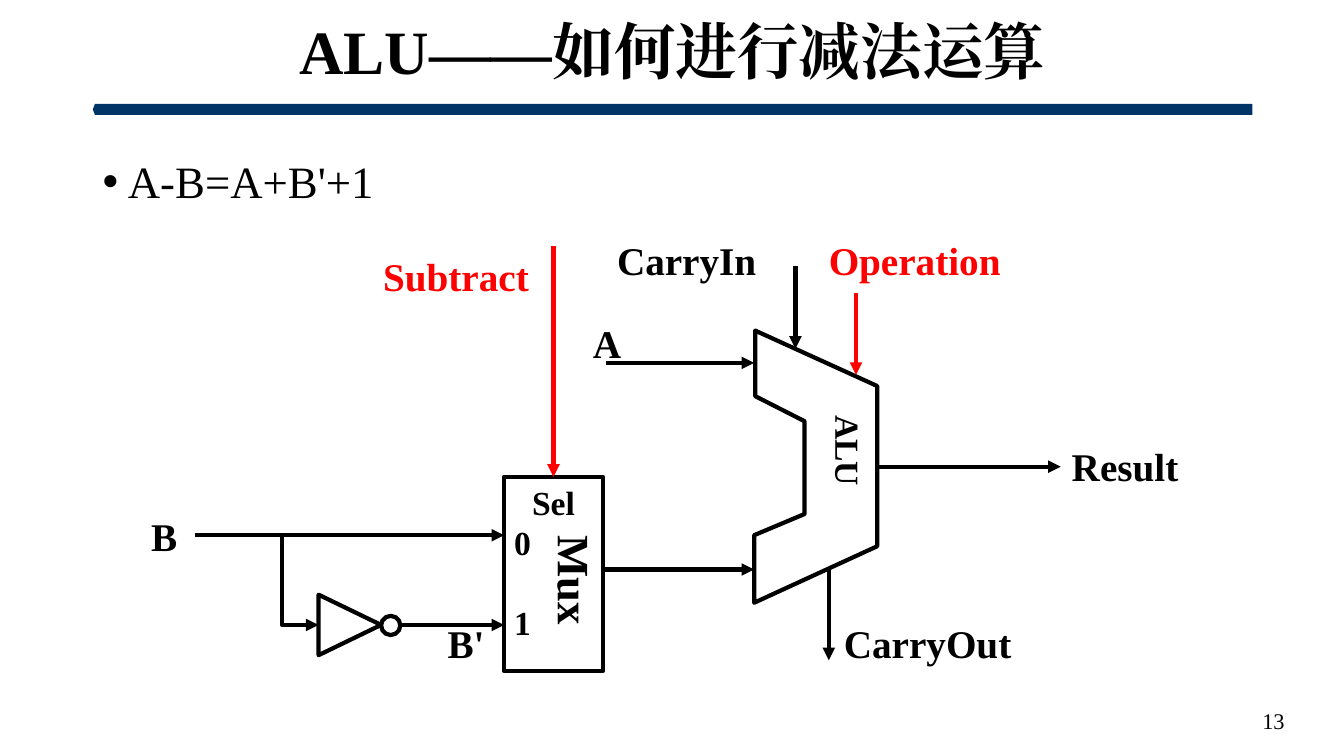
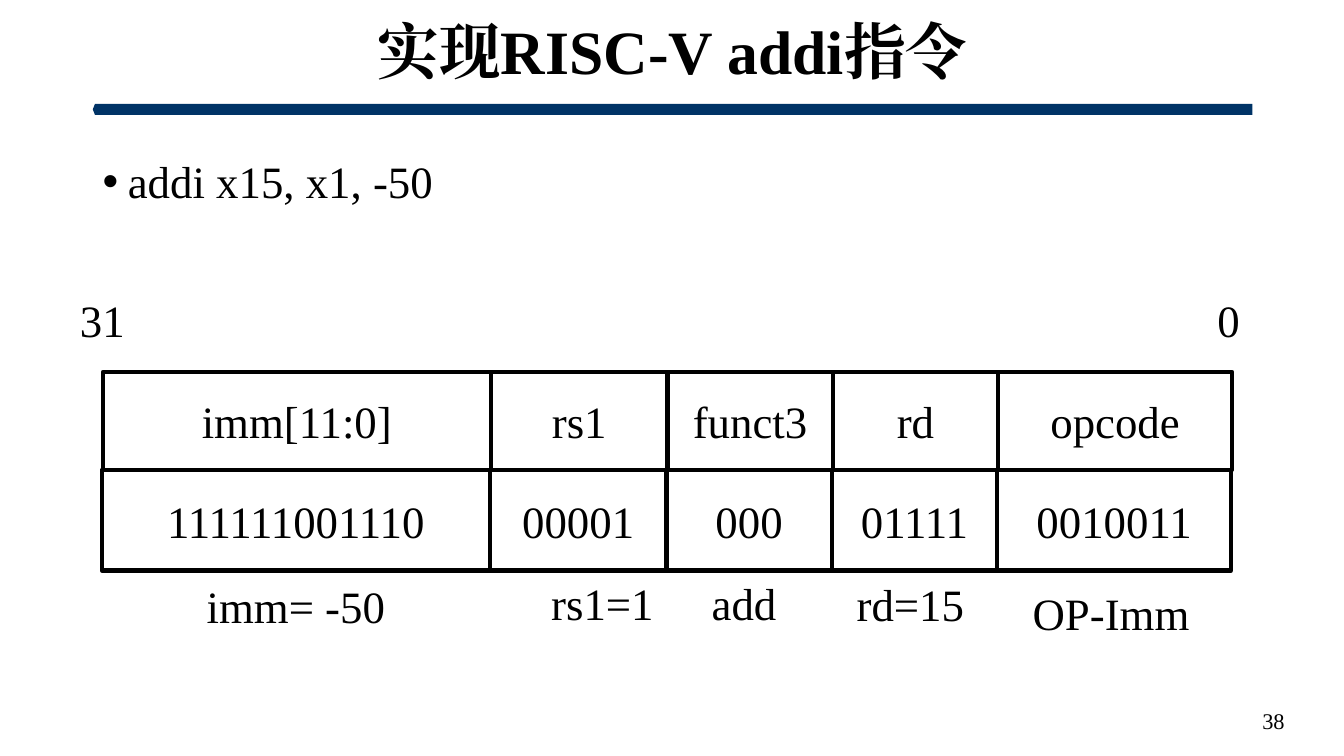
from lxml import etree
from pptx import Presentation
from pptx.dml.color import RGBColor
from pptx.enum import shapes, text
from pptx.oxml import ns
from pptx.util import Inches, Pt

COLORS = {"ink": "000000", "paper": "FFFFFF", "band": "003366", "control": "FF0000"}
FONT = "Times New Roman"
SHAPE = shapes.MSO_SHAPE
LEFT, CENTER, RIGHT = text.PP_ALIGN.LEFT, text.PP_ALIGN.CENTER, text.PP_ALIGN.RIGHT
TOP, MIDDLE = text.MSO_ANCHOR.TOP, text.MSO_ANCHOR.MIDDLE


def write(sp, lines, size, bold=False, color="ink", align=CENTER, anchor=MIDDLE, inset=0.1):
    tf = sp.text_frame
    tf.word_wrap = True
    tf.vertical_anchor = anchor
    tf.margin_left = tf.margin_right = Inches(inset)
    tf.margin_top = tf.margin_bottom = Inches(inset / 2)
    for i, line in enumerate(lines.split("\n")):
        p = tf.add_paragraph() if i else tf.paragraphs[0]
        p.alignment = align
        r = p.add_run()
        r.text = line
        r.font.size = Pt(size)
        r.font.bold = bold
        r.font.name = FONT
        r.font.color.rgb = RGBColor.from_string(COLORS[color])
        etree.SubElement(r.font._element, ns.qn("a:ea"), typeface=FONT)
    return tf


def add_arrow(s, x1, y1, x2, y2, color="ink", kind=shapes.MSO_CONNECTOR.STRAIGHT):
    c = s.shapes.add_connector(kind, Inches(x1), Inches(y1), Inches(x2), Inches(y2))
    c.line.width = Pt(3)
    c.line.color.rgb = RGBColor.from_string(COLORS[color])
    etree.SubElement(c.line._get_or_add_ln(), ns.qn("a:tailEnd"), type="triangle")
    etree.SubElement(c._element.spPr, ns.qn("a:effectLst"))
    return c


prs = Presentation()
prs.slide_width, prs.slide_height = Inches(13.33), Inches(7.5)

slides = []
for title, bullet, number in [
    ("ALU——如何进行减法运算", "A-B=A+B'+1", "13"),
    ("实现RISC-V addi指令", "addi x15, x1, -50", "38"),
]:
    s = prs.slides.add_slide(prs.slide_layouts[6])
    slides.append(s)
    band = s.shapes.add_shape(SHAPE.PENTAGON, Inches(0.92), Inches(1.03), Inches(11.5), Inches(0.11))
    band.adjustments[0] = 0.2
    band.rotation = 180
    band.shadow.inherit = False
    band.fill.solid()
    band.fill.fore_color.rgb = RGBColor.from_string(COLORS["band"])
    band.line.fill.background()

    box = s.shapes.add_textbox(Inches(0.92), Inches(0.13), Inches(11.5), Inches(0.82))
    write(box, title, 44, bold=True).paragraphs[0].line_spacing = 0.9

    box = s.shapes.add_textbox(Inches(0.92), Inches(1.21), Inches(11.5), Inches(5.55))
    p = write(box, bullet, 32, align=LEFT, anchor=TOP).paragraphs[0]
    p.line_spacing = 1.5
    p.space_before = Pt(10)
    pPr = p._p.get_or_add_pPr()
    pPr.set("marL", str(Inches(0.25)))
    pPr.set("indent", str(Inches(-0.25)))
    etree.SubElement(pPr, ns.qn("a:buFont"), typeface="Arial")
    etree.SubElement(pPr, ns.qn("a:buChar"), char="•")

    box = s.shapes.add_textbox(Inches(9.84), Inches(6.95), Inches(3), Inches(0.4))
    write(box, number, 16, align=RIGHT)

alu_slide, addi_slide = slides

s = alu_slide
alu_points = [(7.49, 3.28), (8.7, 3.83), (8.7, 5.42), (7.48, 5.98),
              (7.48, 5.31), (7.98, 5.1), (7.98, 4.18), (7.49, 3.93)]
outline = [(Inches(x), Inches(y)) for x, y in alu_points]
builder = s.shapes.build_freeform(*outline[0])
builder.add_line_segments(outline[1:], close=True)
alu = builder.convert_to_shape()
inverter = s.shapes.add_shape(SHAPE.ISOSCELES_TRIANGLE, Inches(3.17), Inches(5.89), Inches(0.6), Inches(0.62))
inverter.rotation = 90
bubble = s.shapes.add_shape(SHAPE.OVAL, Inches(3.78), Inches(6.11), Inches(0.19), Inches(0.19))
mux = s.shapes.add_shape(SHAPE.RECTANGLE, Inches(5), Inches(4.73), Inches(0.98), Inches(1.93))
for sp in (alu, inverter, bubble, mux):
    sp.shadow.inherit = False
    sp.fill.solid()
    sp.fill.fore_color.rgb = RGBColor.from_string(COLORS["paper"])
    sp.line.width = Pt(3)
    sp.line.color.rgb = RGBColor.from_string(COLORS["ink"])

tf = write(mux, "Sel\n0\n1", 24, bold=True, align=LEFT, anchor=TOP)
tf.paragraphs[0].alignment = CENTER
tf.paragraphs[2].space_before = Pt(28)

for name, x, y, w, h, size in [
    ("ALU", 8.22, 4.12, 0.4, 1, 24),
    ("Mux", 5.44, 5.31, 0.54, 1, 32),
]:
    box = s.shapes.add_textbox(Inches(x), Inches(y), Inches(w), Inches(h))
    tf = write(box, name, size, bold=True, inset=0)
    tf._txBody.bodyPr.set("vert", "eaVert")

for name, x, y, w, color in [
    ("Result", 10.63, 4.39, 1.2, "ink"),
    ("CarryOut", 8.37, 6.14, 1.8, "ink"),
    ("CarryIn", 6.12, 2.34, 1.8, "ink"),
    ("A", 5.88, 3.17, 0.43, "ink"),
    ("B", 1.5, 5.08, 0.43, "ink"),
    ("B'", 4.44, 6.14, 0.43, "ink"),
    ("Operation", 8.22, 2.34, 1.8, "control"),
    ("Subtract", 3.8, 2.5, 1.6, "control"),
]:
    box = s.shapes.add_textbox(Inches(x), Inches(y), Inches(w), Inches(0.47))
    write(box, name, 28, bold=True, color=color, align=LEFT, inset=0)

for x1, y1, x2, y2 in [
    (8.72, 4.63, 10.52, 4.63),
    (8.22, 5.65, 8.22, 6.55),
    (7.89, 2.64, 7.89, 3.46),
    (5.98, 5.65, 7.48, 5.65),
    (3.97, 6.2, 5, 6.2),
    (6.01, 3.6, 7.48, 3.6),
    (1.93, 5.31, 5, 5.31),
]:
    add_arrow(s, x1, y1, x2, y2)
add_arrow(s, 8.49, 2.91, 8.49, 3.72, "control")
add_arrow(s, 5.49, 2.44, 5.49, 4.73, "control").end_connect(mux, 0)

branch = add_arrow(s, 3.43, 5.57, 2.53, 5.93, kind=shapes.MSO_CONNECTOR.ELBOW)
branch._element.spPr.find(ns.qn("a:xfrm")).set("rot", str(270 * 60000))
branch._element.spPr.find(ns.qn("a:prstGeom")).set("prst", "bentConnector2")

s = addi_slide
for bit, x, w in [("31", 0.65, 0.73), ("0", 11.94, 0.49)]:
    box = s.shapes.add_textbox(Inches(x), Inches(2.85), Inches(w), Inches(1.01))
    write(box, bit, 32, anchor=TOP)

x = 1.02
for field, bits, w, note, note_x, note_y in [
    ("imm[11:0]", "111111001110", 3.85, "imm= -50", 1.01, 5.69),
    ("rs1", "00001", 1.75, "rs1=1", 5.1, 5.66),
    ("funct3", "000", 1.64, "add", 6.56, 5.66),
    ("rd", "01111", 1.64, "rd=15", 8.21, 5.67),
    ("opcode", "0010011", 2.32, "OP-Imm", 9.86, 5.76),
]:
    for value, left, top, h in [(field, x, 3.69, 0.97), (bits, x - 0.01, 4.66, 1)]:
        cell = s.shapes.add_shape(SHAPE.RECTANGLE, Inches(left), Inches(top), Inches(w), Inches(h))
        cell.shadow.inherit = False
        cell.fill.background()
        cell.line.width = Pt(3)
        cell.line.color.rgb = RGBColor.from_string(COLORS["ink"])
        write(cell, value, 32)
    box = s.shapes.add_textbox(Inches(note_x), Inches(note_y), Inches(w), Inches(0.6))
    write(box, note, 32, anchor=TOP)
    x += w

prs.save("out.pptx")
